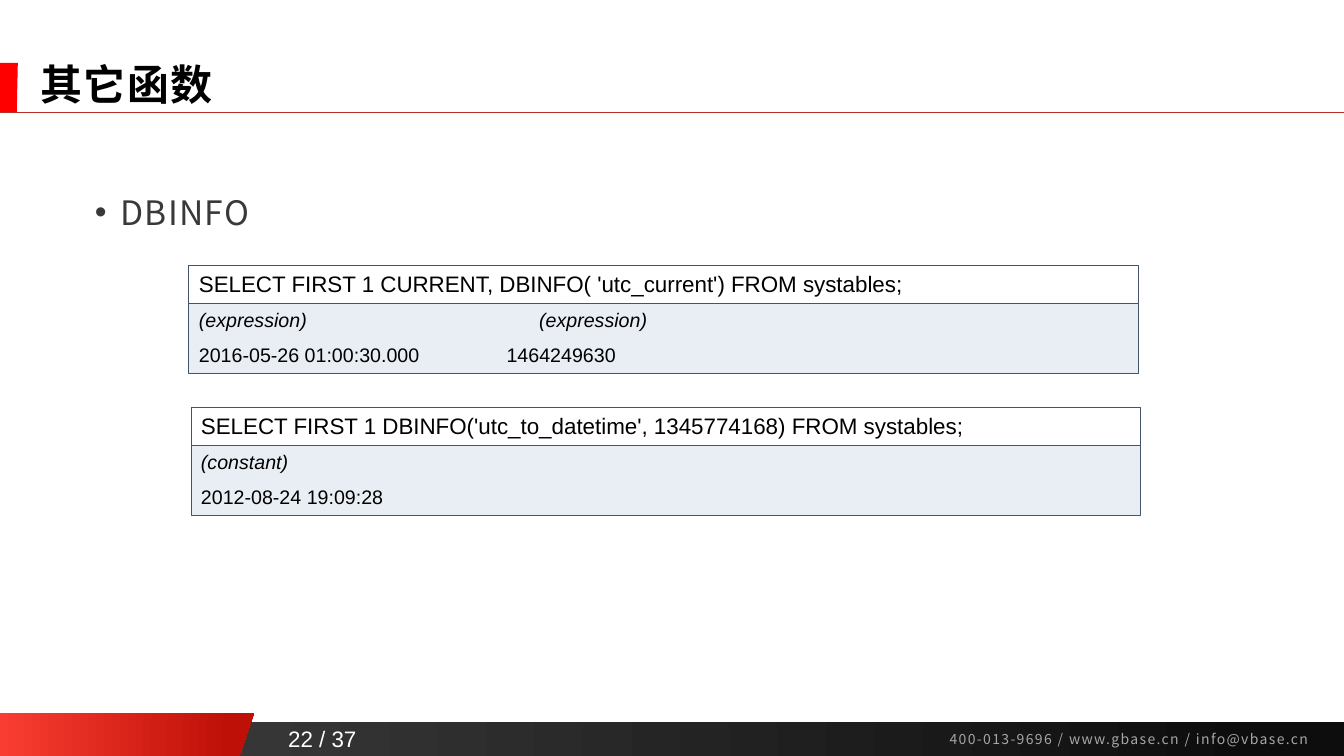
from pptx import Presentation
from pptx.dml.color import RGBColor as RGB
from pptx.enum.shapes import MSO_CONNECTOR as Conn, MSO_SHAPE as Kind
from pptx.enum.text import MSO_ANCHOR as Anchor, PP_ALIGN as Align
from pptx.oxml.ns import qn
from pptx.util import Pt
from lxml.etree import SubElement as Sub

PX = 9525
WIDE, HIGH = 1280, 720
LATIN, HAN = "Arial", "Noto Sans CJK SC"
BLACK, WHITE = RGB(0, 0, 0), RGB(255, 255, 255)
RED, RULE = RGB(0xFF, 0, 0), RGB(0xB8, 0x2E, 0x24)
INK, GREY = RGB(0x3B, 0x38, 0x38), RGB(0xA6, 0xA6, 0xA6)
EDGE, PALE = RGB(0x44, 0x54, 0x6A), RGB(0xE9, 0xED, 0xF4)
DARK = (RGB(0x40, 0x40, 0x40), RGB(0x0D, 0x0D, 0x0D), 0.94)
FLAME = (RGB(0xF9, 0x3D, 0x32), RGB(0xBE, 0x10, 0x07), 0.91)


class Deck:
    def __init__(self):
        self.file = Presentation()
        self.file.slide_width = WIDE * PX
        self.file.slide_height = HIGH * PX
        self.slide = self.file.slides.add_slide(self.file.slide_layouts[6])
        self.items = self.slide.shapes

    def paint(self, shape, fill=None, edge=None):
        shape.shadow.inherit = False
        if fill is None:
            shape.fill.background()
        elif isinstance(fill, RGB):
            shape.fill.solid()
            shape.fill.fore_color.rgb = fill
        else:
            first, last, end = fill
            shape.fill.gradient()
            shape.fill.gradient_angle = 0
            for stop, color, at in zip(shape.fill.gradient_stops, (first, last), (0, end)):
                stop.color.rgb = color
                stop.position = at
        if edge is None:
            shape.line.fill.background()
        else:
            shape.line.color.rgb = edge
            shape.line.width = Pt(0.75)
        return shape

    def rect(self, x, y, w, h, fill=None, edge=None):
        shape = self.items.add_shape(Kind.RECTANGLE, x * PX, y * PX, w * PX, h * PX)
        return self.paint(shape, fill, edge)

    def shape(self, points, fill):
        form = self.items.build_freeform(*points[0], scale=PX)
        form.add_line_segments(points[1:], close=True)
        return self.paint(form.convert_to_shape(), fill)

    def line(self, x, y, to_x, to_y, color, width):
        line = self.items.add_connector(Conn.STRAIGHT, x * PX, y * PX, to_x * PX, to_y * PX)
        line.line.color.rgb = color
        line.line.width = Pt(width)
        Sub(line._element.spPr, qn("a:effectLst"))

    def frame(self, x, y, w, h, anchor=Anchor.TOP, wrap=True):
        frame = self.items.add_textbox(x * PX, y * PX, w * PX, h * PX).text_frame
        frame.word_wrap = wrap
        frame.vertical_anchor = anchor
        return frame

    def run(self, para, text, size, color, font=LATIN, bold=False, slant=False, gap=0):
        run = para.add_run()
        run.text = text
        style = run.font
        style.size, style.name = Pt(size), font
        style.color.rgb = color
        style.bold, style.italic = bold, slant
        props = run._r.get_or_add_rPr()
        Sub(props, qn("a:ea"), typeface=HAN)
        if gap:
            props.set("spc", str(gap * 100))

    def bullet(self, para, mark, indent):
        props = para._p.get_or_add_pPr()
        props.set("marL", str(indent * PX))
        props.set("indent", str(-indent * PX))
        Sub(props, qn("a:buFont"), typeface=LATIN)
        Sub(props, qn("a:buChar"), char=mark)

    def tab(self, para, x):
        tabs = Sub(para._p.get_or_add_pPr(), qn("a:tabLst"))
        Sub(tabs, qn("a:tab"), pos=str(x * PX), algn="l")

    def panel(self, x, y, w, h, rows, size, fill=None):
        """Bordered box; each row is (cells, italic, tab stop)."""
        frame = self.rect(x, y, w, h, fill, EDGE).text_frame
        frame.word_wrap = True
        frame.vertical_anchor = Anchor.TOP
        for i, (cells, slant, stop) in enumerate(rows):
            para = frame.add_paragraph() if i else frame.paragraphs[0]
            para.alignment = Align.LEFT
            para.space_after = Pt(8)
            if stop:
                self.tab(para, stop)
            self.run(para, "\t".join(cells), size, BLACK, slant=slant)

    def query(self, x, y, code, rows):
        self.panel(x, y + 36, 904, 67, rows, 14, PALE)
        self.panel(x, y, 904, 36, [([code], False, 0)], 16)


def main():
    deck = Deck()

    # Footer band and title mark
    deck.rect(0, 688, WIDE, 32, DARK)
    deck.shape([(0, 679), (242, 679), (228, 720), (0, 720)], FLAME)
    deck.shape([(0, 60), (17, 60), (16, 107), (0, 107)], RED)
    para = deck.frame(895, 691, 383, 26).paragraphs[0]
    deck.run(para, "400-013-9696 / www.gbase.cn / info@vbase.cn", 10, GREY, HAN, gap=1)
    deck.line(0, 107, WIDE, 107, RULE, 0.5)

    # Page number
    para = deck.frame(263, 686, 88, 35, Anchor.BOTTOM, False).paragraphs[0]
    para.alignment = Align.CENTER
    deck.run(para, "22 / 37", 16, WHITE)

    # Title
    para = deck.frame(29, 57, 1177, 51, Anchor.MIDDLE).paragraphs[0]
    para.line_spacing = 0.9
    deck.run(para, "其它函数", 30, BLACK, bold=True, gap=1)

    # Topic
    para = deck.frame(81, 182, 1125, 514).paragraphs[0]
    para.line_spacing = 0.9
    deck.bullet(para, "•", 24)
    deck.run(para, "DBINFO", 24, INK, HAN, gap=1)

    # Queries with their results
    deck.query(180, 253, "SELECT FIRST 1 CURRENT, DBINFO( 'utc_current') FROM systables;", [
        (["(expression)", "(expression)"], True, 324),
        (["2016-05-26 01:00:30.000", "1464249630"], False, 293),
    ])
    deck.query(182, 388, "SELECT FIRST 1 DBINFO('utc_to_datetime', 1345774168) FROM systables;", [
        (["(constant)"], True, 0),
        (["2012-08-24 19:09:28"], False, 0),
    ])

    deck.file.save("out.pptx")


if __name__ == "__main__":
    main()
